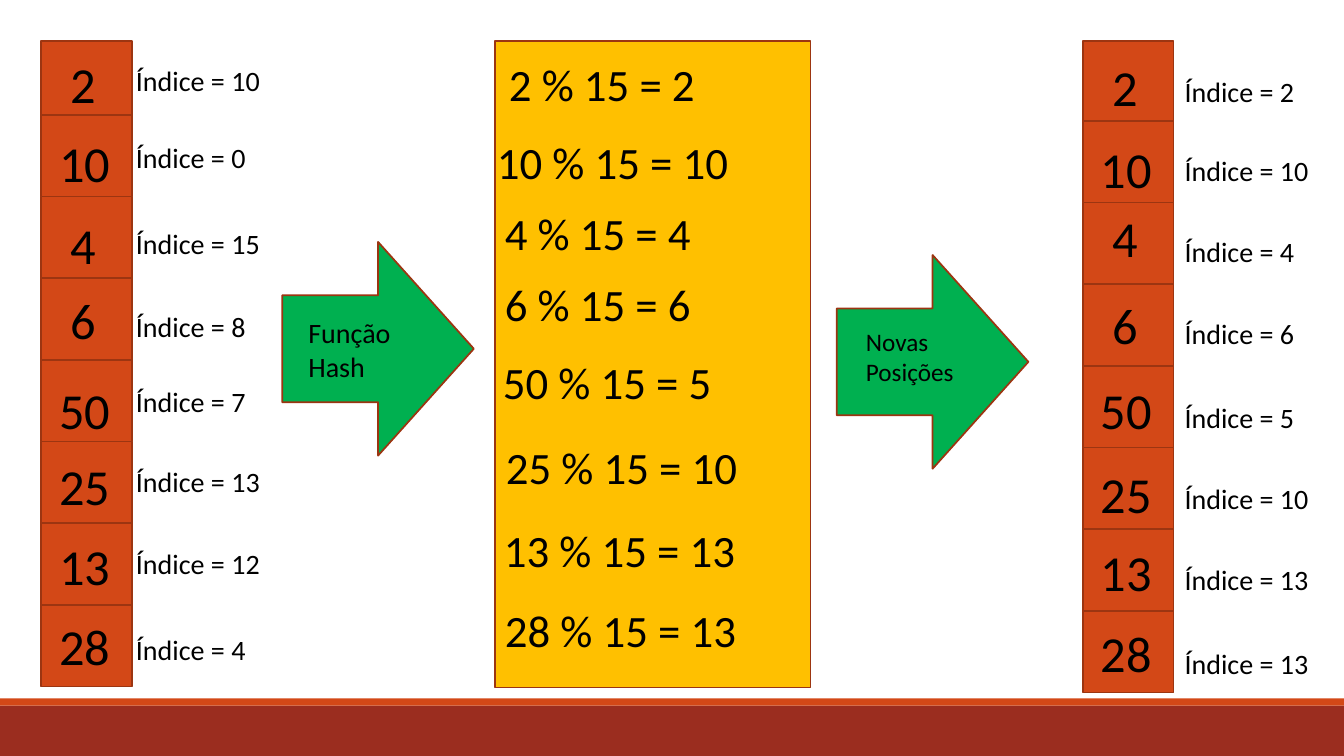
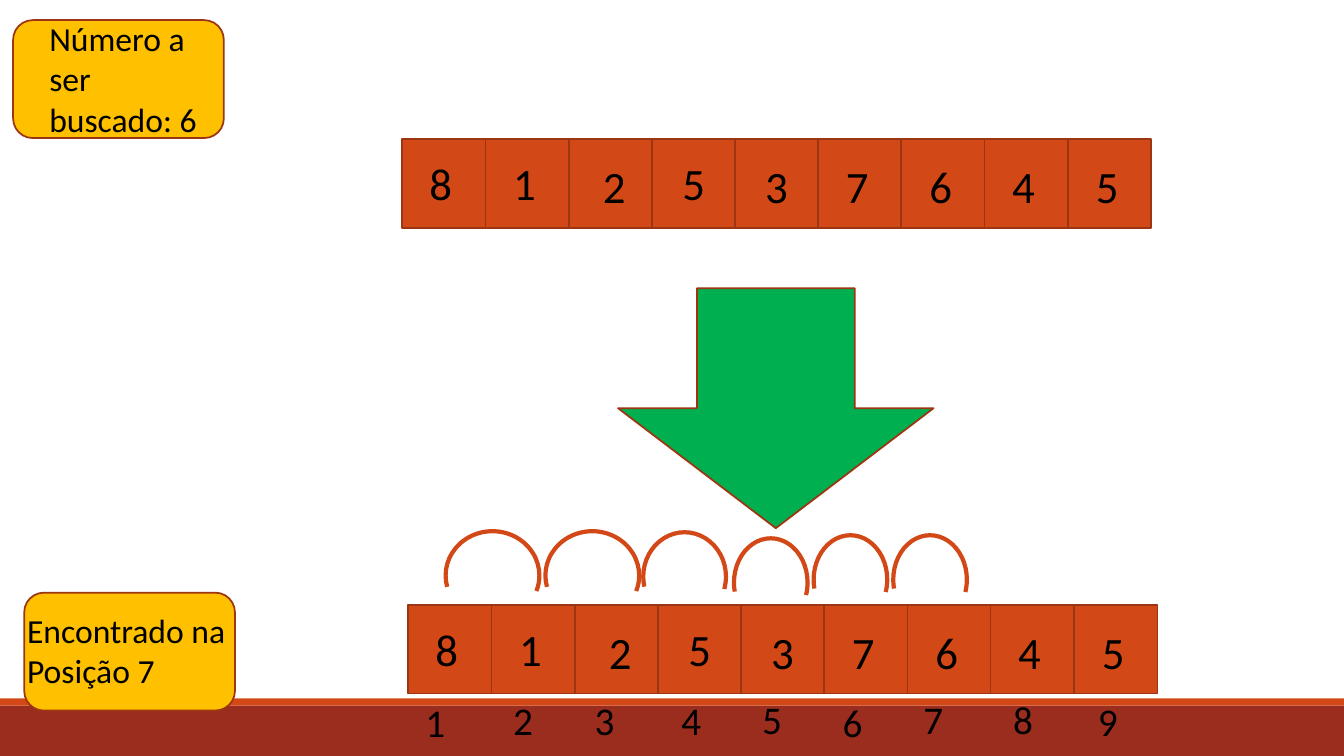
import pptx
import pptx.util
import pptx.dml.color
import pptx.enum.shapes
import pptx.enum.text

RGBColor = pptx.dml.color.RGBColor
Inches = pptx.util.Inches
SHAPE = pptx.enum.shapes.MSO_SHAPE

ORANGE = RGBColor(0xD3, 0x48, 0x17)
BRICK = RGBColor(0x9B, 0x2D, 0x1F)
OUTLINE = RGBColor(0x9C, 0x35, 0x11)
GREEN = RGBColor(0x00, 0xB0, 0x50)
GOLD = RGBColor(0xFF, 0xC0, 0x00)
BLACK = RGBColor(0, 0, 0)
FONT = "Calibri"
WIDTH, HEIGHT = 13.33, 7.5

# Slide 1: value, index, and the tops of the value and of the index label
BEFORE = [
    (2, 10, 0.48, 0.58), (10, 0, 1.26, 1.34), (4, 15, 2.07, 2.2), (6, 8, 2.82, 3.02),
    (50, 7, 3.71, 3.77), (25, 13, 4.47, 4.56), (13, 12, 5.26, 5.37), (28, 4, 6.05, 6.23),
]
AFTER = [
    (2, 2, 0.51, 0.69), (10, 10, 1.32, 1.47), (4, 4, 2.01, 2.28), (6, 6, 2.87, 3.09),
    (50, 5, 3.71, 3.92), (25, 10, 4.54, 4.73), (13, 13, 5.32, 5.53), (28, 13, 6.12, 6.36),
]
# Left, top, equation
EQUATIONS = [
    (4.95, 0.51, "2 % 15 = 2"), (4.83, 1.29, "10 % 15 = 10"),
    (4.91, 1.99, "4 % 15 = 4"), (4.91, 2.7, "6 % 15 = 6"),
    (4.89, 3.47, "50 % 15 = 5"), (4.92, 4.31, "25 % 15 = 10"),
    (4.9, 5.14, "13 % 15 = 13"), (4.91, 5.93, "28 % 15 = 13"),
]
# Column start, last cell top, left of one-digit and two-digit values, label left
COLUMNS = [
    (BEFORE, 0.41, 6.0, (0.6, 0.49), 1.25),
    (AFTER, 10.74, 6.06, (10.94, 10.82), 11.65),
]
COLUMN_TOP, CELL_WIDTH, CELL_HEIGHT = 0.41, 0.9, 0.81
HASH_ARROWS = [
    ((2.8, 2.4, 1.9, 2.12), (2.96, 3.08, 1.35, 0.77), ["Função", "Hash"], 20),
    ((8.3, 2.53, 1.9, 2.12), (8.49, 3.19, 1.12, 0.71), ["Novas", "Posições"], 18),
]

# Slide 2: digit and its offset from the start of the row
ROW_DIGITS = [
    (8, 0.17, 0.12), (1, 1.0, 0.12), (2, 1.89, 0.15), (5, 2.68, 0.12), (3, 3.5, 0.15),
    (7, 4.3, 0.15), (6, 5.13, 0.15), (4, 5.95, 0.15), (5, 6.78, 0.15),
]
ROWS = [(3.99, 1.38), (4.05, 6.0)]
ROW_PITCH, ROW_CELL = 0.825, (0.83, 0.88)
POSITIONS = [
    (4.12, 6.88), (4.99, 6.86), (5.8, 6.86), (6.66, 6.86), (7.46, 6.85),
    (8.26, 6.88), (9.06, 6.85), (9.95, 6.85), (10.79, 6.87),
]
# Left, top, width, end angle
JUMPS = [
    (4.42, 5.27, 0.93, 11.66), (5.41, 5.27, 0.93, 11.66), (6.38, 5.28, 0.82, 10.44),
    (7.28, 5.34, 0.73, 11.66), (8.07, 5.31, 0.73, 11.66), (8.86, 5.31, 0.73, 11.66),
]
JUMP_HEIGHT, JUMP_START = 0.88, 99.58
CARDS = [
    ((0.13, 0.2, 2.09, 1.17), (0.39, 0.13, 1.68, 1.31), ["Número a ser buscado: 6"]),
    ((0.24, 5.88, 2.09, 1.17), (0.17, 6.0, 2.36, 0.91), ["Encontrado na", "Posição 7"]),
]


def add_figure(slide, kind, box, fill=None, line=OUTLINE, line_width=1.25):
    shape = slide.shapes.add_shape(kind, *map(Inches, box))
    shape.shadow.inherit = False
    if fill is None:
        shape.fill.background()
    else:
        shape.fill.solid()
        shape.fill.fore_color.rgb = fill
    if line is None:
        shape.line.fill.background()
    else:
        shape.line.color.rgb = line
        shape.line.width = pptx.util.Pt(line_width)
    return shape


def add_text(slide, box, lines, size):
    frame = slide.shapes.add_textbox(*map(Inches, box)).text_frame
    frame.word_wrap = True
    frame.auto_size = pptx.enum.text.MSO_AUTO_SIZE.SHAPE_TO_FIT_TEXT
    frame.text = "\n".join(lines)
    for paragraph in frame.paragraphs:
        for name, value in {"name": FONT, "size": pptx.util.Pt(size)}.items():
            setattr(paragraph.font, name, value)
        paragraph.font.color.rgb = BLACK


def add_master_bands(presentation, slide):
    """Draw the footer bands once and move them to the slide master."""
    for top, height, color in ((7, 0.5, BRICK), (6.93, 0.07, ORANGE)):
        band = add_figure(slide, SHAPE.RECTANGLE, (0, top, WIDTH, height), color, None)
        presentation.slide_master.shapes.element.append(band.element)


def add_value_column(slide, entries, left, last_top, value_lefts, label_left):
    for row, (value, index, value_top, label_top) in enumerate(entries):
        cell_top = last_top - CELL_HEIGHT * (len(entries) - 1 - row)
        cell = (left, max(COLUMN_TOP, cell_top), CELL_WIDTH, CELL_HEIGHT)
        add_figure(slide, SHAPE.RECTANGLE, cell, ORANGE)
    for value, index, value_top, label_top in entries:
        value_left = value_lefts[len(str(value)) - 1]
        add_text(slide, (value_left, value_top, CELL_WIDTH, 0.71), [str(value)], 36)
        add_text(slide, (label_left, label_top, 1.58, 0.44), [f"Índice = {index}"], 20)


def build_hash_slide(slide):
    for column in COLUMNS:
        add_value_column(slide, *column)
    for arrow, label, lines, size in HASH_ARROWS:
        add_figure(slide, SHAPE.RIGHT_ARROW, arrow, GREEN)
        add_text(slide, label, lines, size)
    add_figure(slide, SHAPE.RECTANGLE, (4.91, COLUMN_TOP, 3.13, 6.41), GOLD)
    for left, top, equation in EQUATIONS:
        add_text(slide, (left, top, 3.13, 0.64), [equation], 32)


def build_search_slide(slide):
    for left, top in ROWS:
        for column in range(len(ROW_DIGITS)):
            cell = (left + column * ROW_PITCH, top, *ROW_CELL)
            add_figure(slide, SHAPE.RECTANGLE, cell, ORANGE)
        for digit, across, down in ROW_DIGITS:
            add_text(slide, (left + across, top + down, 0.48, 0.64), [str(digit)], 32)
    add_figure(slide, SHAPE.DOWN_ARROW, (6.13, 2.86, 3.13, 2.38), GREEN)
    for left, top, width, end in JUMPS:
        arc = add_figure(slide, SHAPE.ARC, (left, top, width, JUMP_HEIGHT), None, ORANGE, 3)
        arc.adjustments[0] = JUMP_START
        arc.adjustments[1] = end
    for card, label, lines in CARDS:
        add_figure(slide, SHAPE.ROUNDED_RECTANGLE, card, GOLD)
        add_text(slide, label, lines, 24)
    for number, (left, top) in enumerate(POSITIONS, start=1):
        add_text(slide, (left, top, 0.87, 0.57), [str(number)], 28)


def main():
    presentation = pptx.Presentation()
    presentation.slide_width = Inches(WIDTH)
    presentation.slide_height = Inches(HEIGHT)
    blank = presentation.slide_layouts[6]
    hash_slide, search_slide = (presentation.slides.add_slide(blank) for _ in range(2))
    add_master_bands(presentation, hash_slide)
    build_hash_slide(hash_slide)
    build_search_slide(search_slide)
    presentation.save("out.pptx")


if __name__ == "__main__":
    main()
